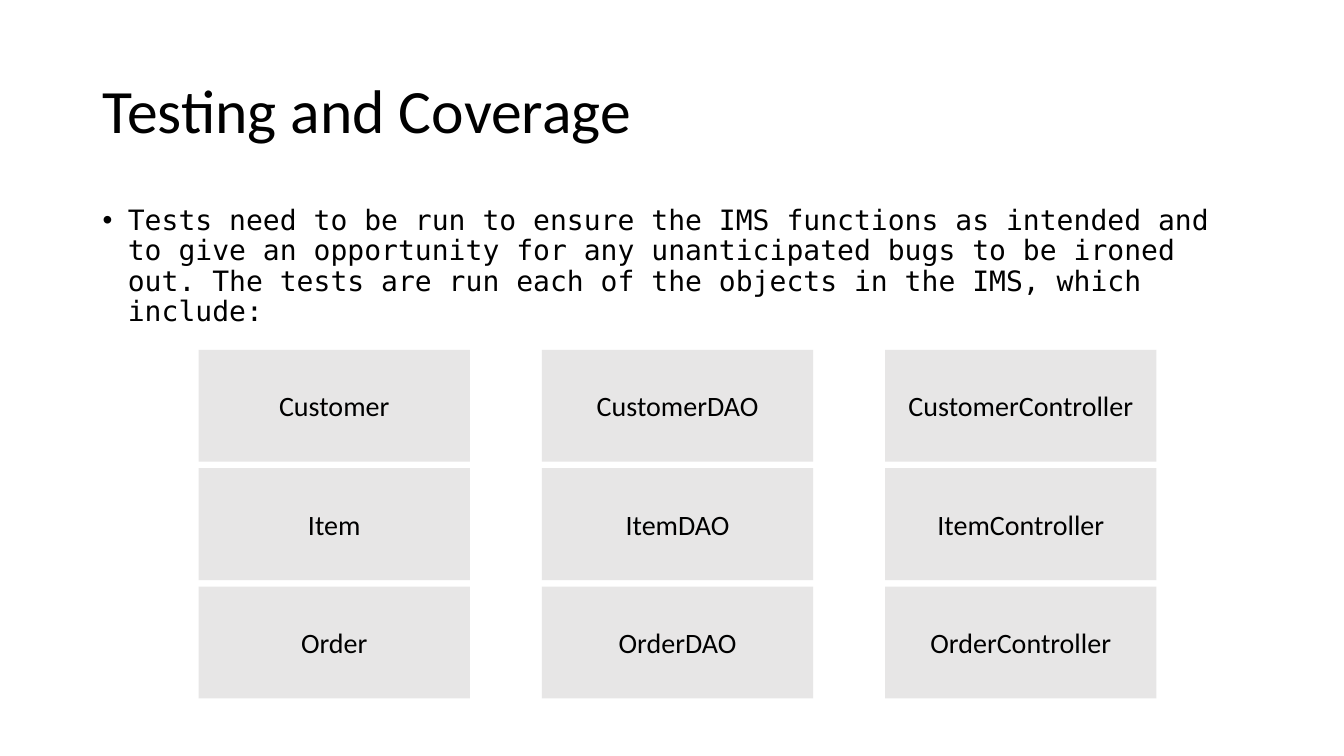
from pptx import Presentation
from pptx.dml.color import RGBColor
from pptx.enum.shapes import MSO_SHAPE
from pptx.enum.text import MSO_ANCHOR, PP_ALIGN
from pptx.oxml import parse_xml
from pptx.oxml.ns import nsdecls
from pptx.util import Inches, Pt

THEME = {
    "text": RGBColor.from_string("000000"),
    "tile": RGBColor.from_string("E7E6E6"),
    "title_size": Pt(44),
    "text_size": Pt(20),
    "main_font": "Calibri",
    "mono_font": "DejaVu Sans Mono",
}


def write_text(shape, text, size=THEME["text_size"], font=THEME["main_font"],
               align=PP_ALIGN.LEFT, anchor=MSO_ANCHOR.MIDDLE, line_spacing=0.9):
    frame = shape.text_frame
    frame.word_wrap = True
    frame.vertical_anchor = anchor
    paragraph = frame.paragraphs[0]
    paragraph.alignment = align
    paragraph.line_spacing = line_spacing
    run = paragraph.add_run()
    run.text = text
    run.font.size = size
    run.font.name = font
    run.font.color.rgb = THEME["text"]
    return paragraph


presentation = Presentation()
presentation.slide_width = Inches(13.33)
presentation.slide_height = Inches(7.5)
slide = presentation.slides.add_slide(presentation.slide_layouts[6])

title = slide.shapes.add_textbox(Inches(0.92), Inches(0.4), Inches(11.5), Inches(1.45))
write_text(title, "Testing and Coverage", size=THEME["title_size"])

body = slide.shapes.add_textbox(Inches(0.92), Inches(2), Inches(11.5), Inches(4.76))
bullet = write_text(
    body,
    "Tests need to be run to ensure the IMS functions as intended and to give an "
    "opportunity for any unanticipated bugs to be ironed out. The tests are run each "
    "of the objects in the IMS, which include:",
    font=THEME["mono_font"],
    anchor=MSO_ANCHOR.TOP,
)
properties = bullet._p.get_or_add_pPr()
properties.set("marL", str(Inches(0.25)))
properties.set("indent", str(Inches(-0.25)))
properties.append(parse_xml(f'<a:buFont {nsdecls("a")} typeface="Arial"/>'))
properties.append(parse_xml(f'<a:buChar {nsdecls("a")} char="•"/>'))

for row, entity in enumerate(["Customer", "Item", "Order"]):
    for column, suffix in enumerate(["", "DAO", "Controller"]):
        tile = slide.shapes.add_shape(
            MSO_SHAPE.RECTANGLE,
            Inches(1.97 + column * 3.405), Inches(3.47 + row * 1.175),
            Inches(2.69), Inches(1.11),
        )
        tile.shadow.inherit = False
        tile.fill.solid()
        tile.fill.fore_color.rgb = THEME["tile"]
        tile.line.fill.background()
        write_text(tile, entity + suffix, align=PP_ALIGN.CENTER, line_spacing=1.0)

presentation.save("out.pptx")
